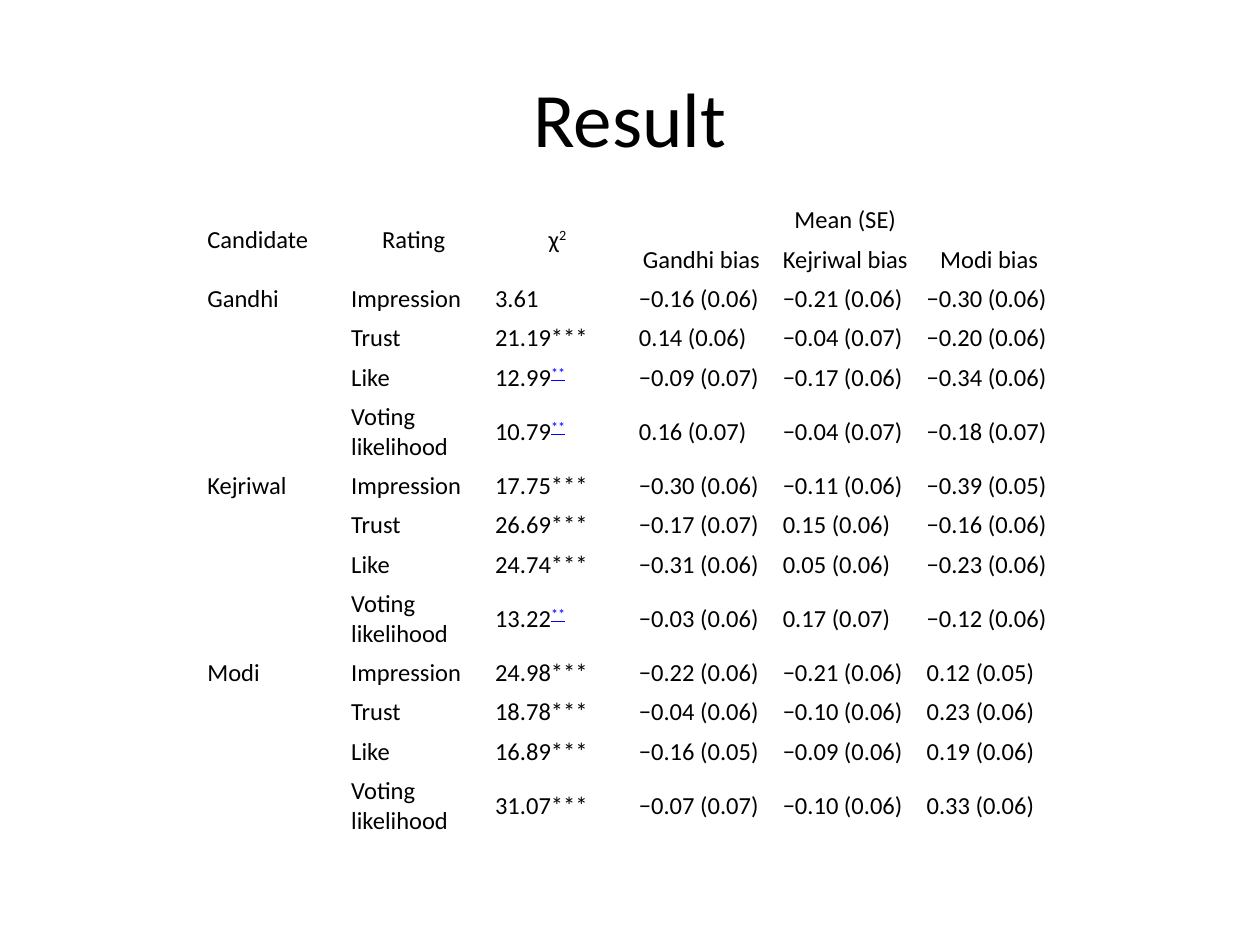
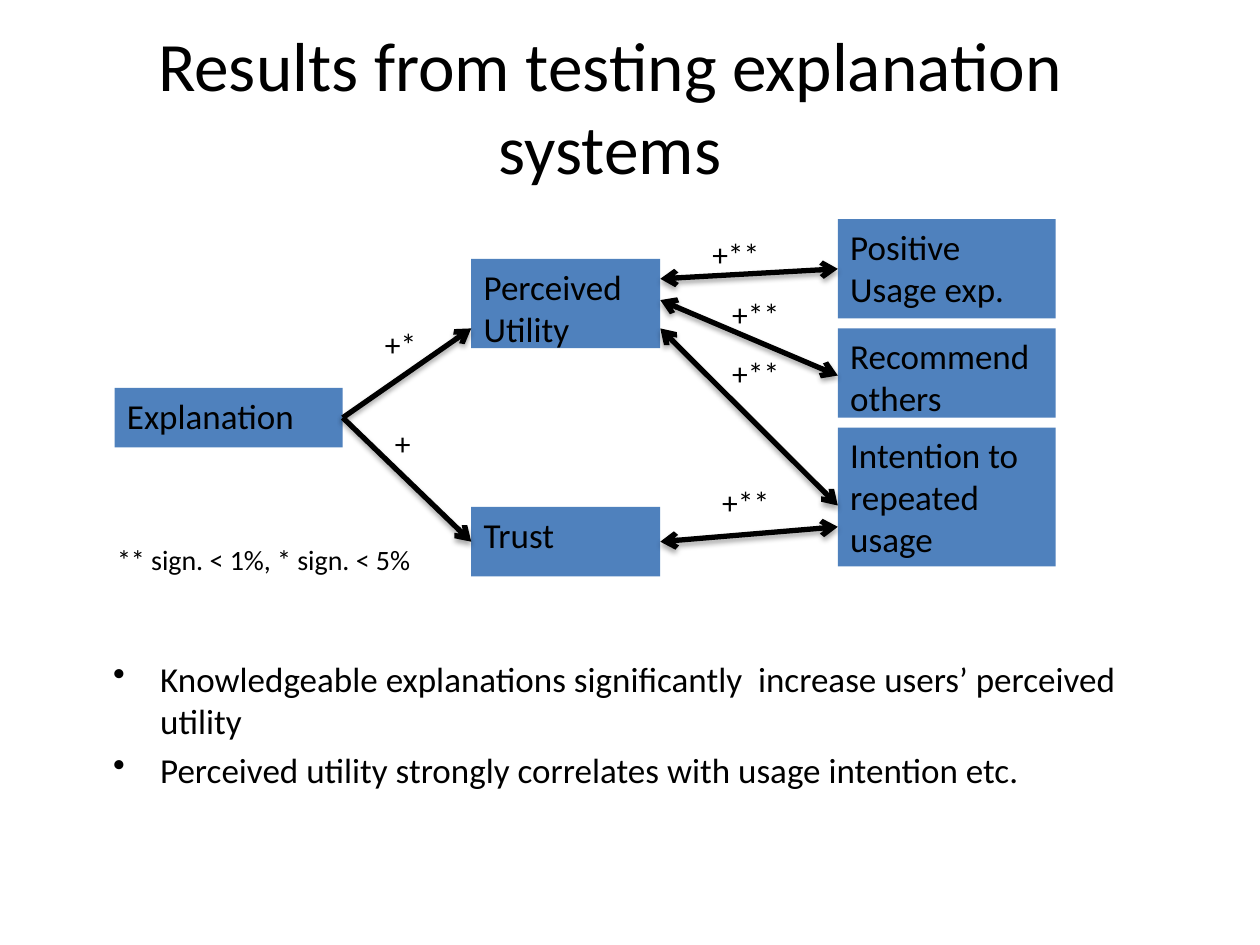
from collections import namedtuple

from lxml import etree
from pptx import Presentation
from pptx.dml.color import RGBColor
from pptx.enum.shapes import MSO_CONNECTOR, MSO_SHAPE
from pptx.enum.text import MSO_ANCHOR as ANCHOR, PP_ALIGN as ALIGN
from pptx.oxml.ns import qn
from pptx.util import Cm, Pt

FONT = "Calibri"
BLACK, BOX_BLUE, LINK_BLUE = "000000", "4F81BD", "0000FF"

# All lengths are centimetres.
Box = namedtuple("Box", "x y w h")

RATINGS = ["Impression", "Trust", "Like", "Voting likelihood"]
BIASES = ["Gandhi bias", "Kejriwal bias", "Modi bias"]
# For each candidate: chi-square, then the mean (SE) under each bias.
RESULTS = {
    "Gandhi": [
        ("3.61", "−0.16 (0.06)", "−0.21 (0.06)", "−0.30 (0.06)"),
        ("21.19***", "0.14 (0.06)", "−0.04 (0.07)", "−0.20 (0.06)"),
        ("12.99**", "−0.09 (0.07)", "−0.17 (0.06)", "−0.34 (0.06)"),
        ("10.79**", "0.16 (0.07)", "−0.04 (0.07)", "−0.18 (0.07)"),
    ],
    "Kejriwal": [
        ("17.75***", "−0.30 (0.06)", "−0.11 (0.06)", "−0.39 (0.05)"),
        ("26.69***", "−0.17 (0.07)", "0.15 (0.06)", "−0.16 (0.06)"),
        ("24.74***", "−0.31 (0.06)", "0.05 (0.06)", "−0.23 (0.06)"),
        ("13.22**", "−0.03 (0.06)", "0.17 (0.07)", "−0.12 (0.06)"),
    ],
    "Modi": [
        ("24.98***", "−0.22 (0.06)", "−0.21 (0.06)", "0.12 (0.05)"),
        ("18.78***", "−0.04 (0.06)", "−0.10 (0.06)", "0.23 (0.06)"),
        ("16.89***", "−0.16 (0.05)", "−0.09 (0.06)", "0.19 (0.06)"),
        ("31.07***", "−0.07 (0.07)", "−0.10 (0.06)", "0.33 (0.06)"),
    ],
}
FINDINGS = [
    "Knowledgeable explanations significantly  increase users’ perceived utility",
    "Perceived utility strongly correlates with usage intention etc.",
]


def color(hex_code):
    return RGBColor.from_string(hex_code)


def style(paragraph, size, align=ALIGN.LEFT):
    paragraph.alignment = align
    font = paragraph.font
    font.name, font.size = FONT, Pt(size)
    font.color.rgb = color(BLACK)


def write(frame, lines, size, align=ALIGN.LEFT, anchor=ANCHOR.TOP, wrap=True):
    """Fill a text frame with one paragraph per line."""
    frame.word_wrap = wrap
    frame.vertical_anchor = anchor
    frame.text = "\n".join(lines)
    for paragraph in frame.paragraphs:
        style(paragraph, size, align)


def add_text(slide, box, lines, size, **options):
    frame = slide.shapes.add_textbox(*map(Cm, box)).text_frame
    write(frame, lines, size, **options)
    return frame


def add_title(slide, box, title, size):
    add_text(slide, box, [title], size, align=ALIGN.CENTER, anchor=ANCHOR.MIDDLE)


def add_superscript(paragraph, text):
    run = paragraph.add_run()
    run.text = text
    run._r.get_or_add_rPr().set("baseline", "30000")
    return run


def fill_cell(cell, text, align=ALIGN.LEFT, superscript="", linked=False):
    paragraph = cell.text_frame.paragraphs[0]
    style(paragraph, 14, align)
    if text:
        paragraph.add_run().text = text
    if superscript:
        font = add_superscript(paragraph, superscript).font
        if linked:
            font.underline = True
            font.color.rgb = color(LINK_BLUE)


def add_results_table(slide, box):
    rows = [(candidate if i == 0 else "", rating, *values)
            for candidate, block in RESULTS.items()
            for i, (rating, values) in enumerate(zip(RATINGS, block))]
    columns = 3 + len(BIASES)
    table = slide.shapes.add_table(len(rows) + 2, columns, *map(Cm, box)).table
    table.first_row = table.horz_banding = False
    for column in table.columns:
        column.width = Cm(box.w / columns)
    for row in table.rows:
        row.height = Cm(0.76)
    for cell in table.iter_cells():
        cell.fill.background()
        cell.vertical_anchor = ANCHOR.MIDDLE
        cell.margin_left = cell.margin_right = Cm(0.19)
        cell.margin_top = cell.margin_bottom = Cm(0.1)
        style(cell.text_frame.paragraphs[0], 14)

    for c in range(3):
        table.cell(0, c).merge(table.cell(1, c))
    table.cell(0, 3).merge(table.cell(0, columns - 1))
    fill_cell(table.cell(0, 0), "Candidate")
    fill_cell(table.cell(0, 1), "Rating", ALIGN.CENTER)
    fill_cell(table.cell(0, 2), "χ", ALIGN.CENTER, superscript="2")
    fill_cell(table.cell(0, 3), "Mean (SE)", ALIGN.CENTER)
    for c, bias in enumerate(BIASES, 3):
        fill_cell(table.cell(1, c), bias, ALIGN.CENTER)

    for r, values in enumerate(rows, 2):
        if values[1] == RATINGS[-1]:
            table.rows[r].height = Cm(1.35)
        for c, value in enumerate(values):
            number = value.rstrip("*")
            if value == number + "**":
                fill_cell(table.cell(r, c), number, superscript="**", linked=True)
            else:
                fill_cell(table.cell(r, c), value)


def add_concept(slide, box, lines):
    concept = slide.shapes.add_shape(MSO_SHAPE.RECTANGLE, *map(Cm, box))
    concept.shadow.inherit = False
    concept.fill.solid()
    concept.fill.fore_color.rgb = color(BOX_BLUE)
    concept.line.fill.background()
    write(concept.text_frame, lines, 20)


def add_arrow(slide, start, end, both_ways):
    arrow = slide.shapes.add_connector(MSO_CONNECTOR.STRAIGHT, *map(Cm, start + end))
    arrow.line.width = Pt(3)
    arrow.line.color.rgb = color(BLACK)
    line = arrow.line._get_or_add_ln()
    for tag in ["a:headEnd"] * both_ways + ["a:tailEnd"]:
        etree.SubElement(line, qn(tag), type="arrow")
    effects = etree.SubElement(arrow._element.spPr, qn("a:effectLst"))
    shadow = etree.SubElement(effects, qn("a:outerShdw"), blurRad=str(Pt(3.1)),
                              dist=str(Pt(1.8)), dir="5400000", rotWithShape="0")
    tint = etree.SubElement(shadow, qn("a:srgbClr"), val=BLACK)
    etree.SubElement(tint, qn("a:alpha"), val="35000")


def add_path_model(slide, box):
    """Draw cause, mediators and outcomes in three columns joined by arrows."""
    def inside(x, y, w, h):
        return Box(box.x + x, box.y + y, w, h)

    cause = inside(0, 3.4, 4.6, 1.2)
    utility = inside(7.19, 0.8, 3.81, 1.8)
    trust = inside(7.19, 5.8, 3.81, 1.4)
    outcome_w, gap = 4.39, 0.2
    outcome_x = box.w - outcome_w
    add_concept(slide, cause, ["Explanation"])
    add_concept(slide, trust, ["Trust"])
    add_concept(slide, utility, ["Perceived", "Utility"])
    top = 0
    for height, lines in [(2, ["Positive", "Usage exp."]),
                          (1.8, ["Recommend others"]),
                          (2.8, ["Intention to repeated usage"])]:
        add_concept(slide, inside(outcome_x, top, outcome_w, height), lines)
        top += height + gap

    cause_right = cause.x + cause.w
    mediator_right = utility.x + utility.w
    for end_y in (2.2, 6.5):
        add_arrow(slide, (cause_right, box.y + 4), (utility.x, box.y + end_y), False)
    for start_y, end_y in [(2.2, 5.77), (1.63, 3.15), (1.2, 1), (6.5, 6.2)]:
        add_arrow(slide, (mediator_right, box.y + start_y),
                  (box.x + outcome_x, box.y + end_y), True)

    for x, y, sign in [(5.2, 2, "+*"), (5.4, 4, "+"), (11.8, 0.2, "+**"),
                       (12.2, 1.4, "+**"), (12.2, 2.6, "+**"), (12, 5.2, "+**")]:
        add_text(slide, inside(x, y, 1.6, 1), [sign], 18)
    add_text(slide, inside(-0.2, 6.4, 6.58, 0.94),
             ["** sign. < 1%, * sign. < 5%"], 16, wrap=False)


def add_findings(slide, box):
    frame = add_text(slide, box, FINDINGS, 20)
    for paragraph in frame.paragraphs:
        paragraph.space_before = Pt(4)
        props = paragraph._p.get_or_add_pPr()
        props.set("marL", str(Cm(0.95)))
        props.set("indent", str(-Cm(0.95)))
        bullet = etree.Element(qn("a:buChar"), char="•")
        props.find(qn("a:defRPr")).addprevious(bullet)


def main():
    deck = Presentation()
    deck.slide_width, deck.slide_height = Cm(25.4), Cm(19.05)
    blank = deck.slide_layouts[6]

    ratings = deck.slides.add_slide(blank)
    add_title(ratings, Box(1.27, 0.76, 22.86, 3.18), "Result", 44)
    add_results_table(ratings, Box(3.99, 4.04, 17.4, 12.41))

    explanations = deck.slides.add_slide(blank)
    add_title(explanations, Box(1.9, 0.53, 20.8, 3.18),
              "Results from testing explanation systems", 39.6)
    add_findings(explanations, Box(2.03, 13.13, 21.59, 3.61))
    add_path_model(explanations, Box(2.31, 4.42, 18.97, 7.2))

    deck.save("out.pptx")


if __name__ == "__main__":
    main()
